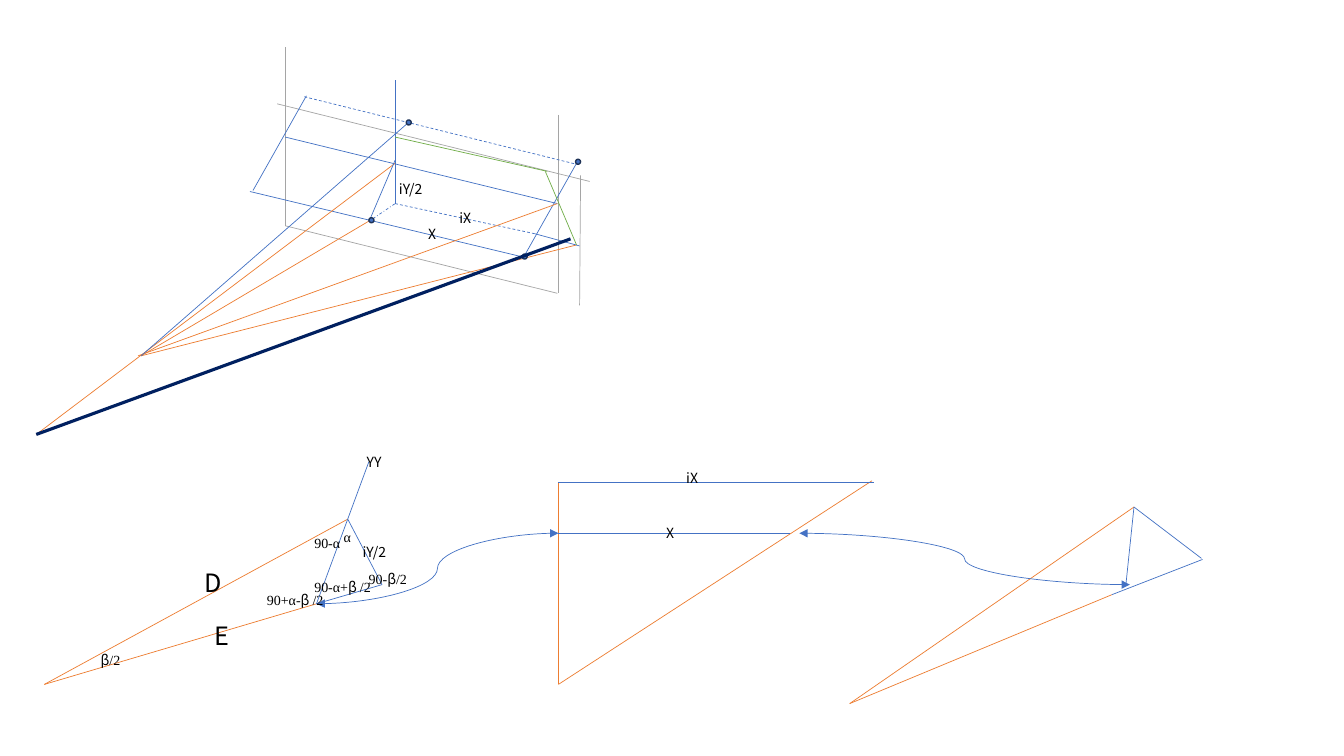
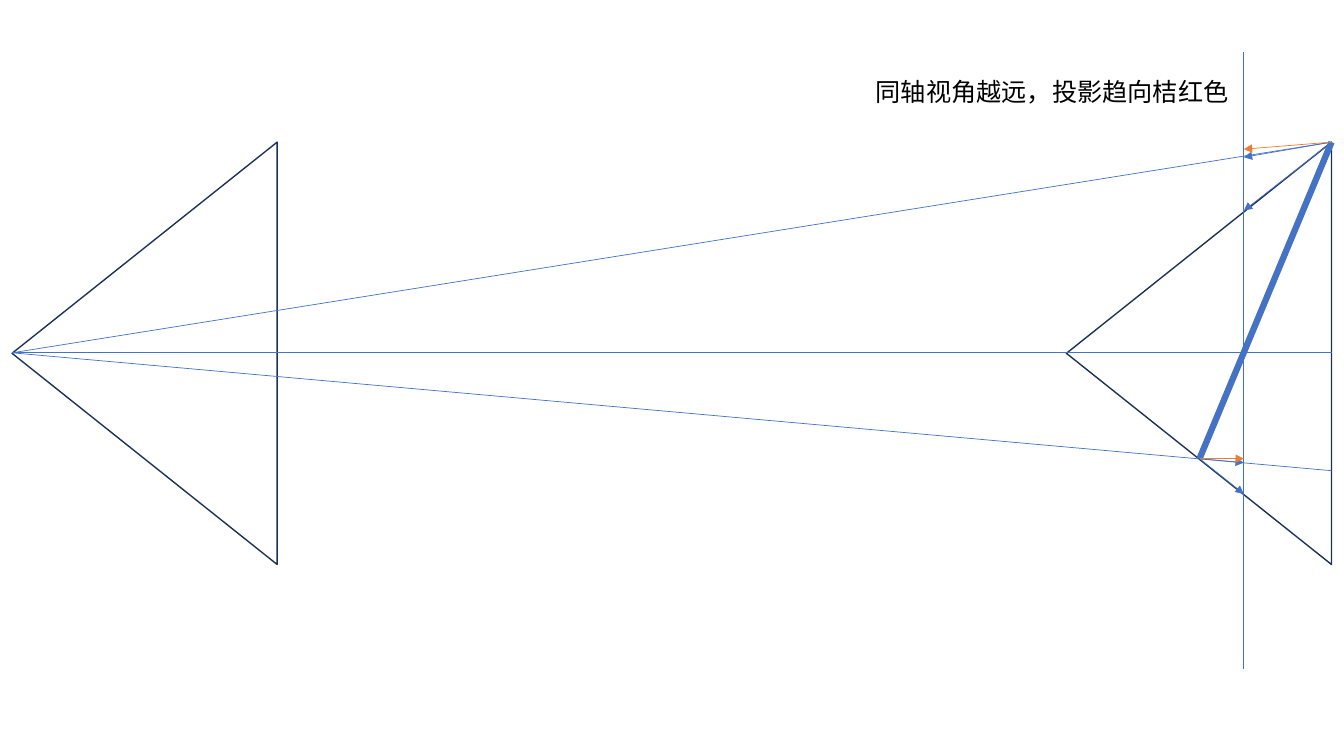
from dataclasses import dataclass

from lxml.etree import SubElement
from pptx import Presentation
from pptx.dml.color import RGBColor
from pptx.enum.dml import MSO_LINE
from pptx.enum.shapes import MSO_CONNECTOR, MSO_SHAPE
from pptx.enum.text import MSO_AUTO_SIZE
from pptx.oxml.ns import qn
from pptx.shapes.autoshape import Shape
from pptx.shapes.shapetree import GroupShapes, SlideShapes
from pptx.slide import Slide
from pptx.util import Inches, Pt

COLORS = {
    "blue": "4472C4",
    "orange": "ED7D31",
    "gray": "A5A5A5",
    "green": "70AD47",
    "navy": "002060",
    "outline": "1E3256",
    "text": "000000",
}
SANS = "Noto Sans CJK SC"
SERIF = "Times New Roman"
DASH = MSO_LINE.DASH
DASH_DOT = MSO_LINE.DASH_DOT
DOT_SIZE = 0.05

Point = tuple[float, float]


@dataclass(frozen=True)
class Stroke:
    start: Point
    end: Point
    color: str = "blue"
    width: float = 0.5
    dash: MSO_LINE | None = None
    head: bool = False
    tail: bool = False
    kind: MSO_CONNECTOR = MSO_CONNECTOR.STRAIGHT


@dataclass(frozen=True)
class Label:
    left: float
    top: float
    width: float
    spans: tuple[tuple[str, str], ...]
    size: float = 10
    wrap: bool = False


def rgb(name: str) -> RGBColor:
    return RGBColor.from_string(COLORS[name])


def draw_strokes(shapes: SlideShapes | GroupShapes, strokes: list[Stroke]) -> None:
    for stroke in strokes:
        ends = [Inches(value) for value in (*stroke.start, *stroke.end)]
        connector = shapes.add_connector(stroke.kind, *ends)
        connector.line.color.rgb = rgb(stroke.color)
        connector.line.width = Pt(stroke.width)
        if stroke.dash is not None:
            connector.line.dash_style = stroke.dash
        properties = connector._element.spPr
        outline = properties.find(qn("a:ln"))
        for tag, wanted in (("a:headEnd", stroke.head), ("a:tailEnd", stroke.tail)):
            if wanted:
                SubElement(outline, qn(tag), type="triangle")
        SubElement(properties, qn("a:effectLst"))


def draw_outline(page: Slide, kind: MSO_SHAPE, left: float, top: float,
                 width: float, height: float, fill: str | None = None,
                 rotation: float = 0) -> Shape:
    shape = page.shapes.add_shape(kind, Inches(left), Inches(top), Inches(width), Inches(height))
    shape.shadow.inherit = False
    shape.rotation = rotation
    if fill:
        shape.fill.solid()
        shape.fill.fore_color.rgb = rgb(fill)
    else:
        shape.fill.background()
    shape.line.color.rgb = rgb("outline")
    shape.line.width = Pt(1)
    return shape


def add_text(para, text: str, *, font: str, size: float, color: str = "text") -> None:
    span = para.add_run()
    span.text = text
    span.font.name = font
    span.font.size = Pt(size)
    span.font.color.rgb = rgb(color)
    SubElement(span._r.get_or_add_rPr(), qn("a:ea"), typeface=font)


def draw_labels(page: Slide, labels: list[Label]) -> None:
    for label in labels:
        height = 0.4 if label.size > 10 else 0.27
        box = page.shapes.add_textbox(Inches(label.left), Inches(label.top),
                                      Inches(label.width), Inches(height))
        box.text_frame.word_wrap = label.wrap
        box.text_frame.auto_size = MSO_AUTO_SIZE.SHAPE_TO_FIT_TEXT
        for text, font in label.spans:
            add_text(box.text_frame.paragraphs[0], text, font=font, size=label.size)


def build_projection(page: Slide) -> None:
    eye, far_eye = (1.4, 3.53), (0.36, 4.31)
    near, hinge, corner = (3.7, 2.17), (3.92, 2.02), (5.72, 2.43)
    draw_strokes(page.shapes, [
        Stroke((2.83, 0.47), (2.83, 2.24), "gray"),
        Stroke((5.54, 1.14), (5.54, 2.91), "gray"),
        Stroke((2.75, 1.03), (5.85, 1.8), "gray"),
        Stroke((2.83, 2.24), (5.53, 2.91), "gray"),
        Stroke((2.83, 1.36), (5.53, 2.02)),
        Stroke((5.19, 2.56), (5.72, 1.62)),
        Stroke((2.48, 1.9), (5.19, 2.55)),
        Stroke((3.02, 0.96), (5.72, 1.63), dash=DASH),
        Stroke((2.51, 1.89), (3.04, 0.95)),
        Stroke((3.92, 1.62), far_eye, "orange"),
        Stroke(eye, near, "orange"),
        Stroke(eye, corner, "orange"),
        Stroke((5.31, 2.32), (5.75, 2.44)),
        Stroke(near, hinge, dash=DASH_DOT),
        Stroke(hinge, (5.31, 2.32), dash=DASH),
        Stroke(hinge, (3.92, 0.79)),
        Stroke((3.92, 1.36), (5.43, 1.7), "green"),
        Stroke((5.41, 1.7), corner, "green"),
        Stroke((5.76, 1.74), (5.75, 3.03), "gray"),
        Stroke((1.37, 3.53), (5.53, 2.02), "orange"),
        Stroke((3.92, 1.59), (3.66, 2.2)),
        Stroke(eye, (4.07, 1.2)),
    ])
    for left, top in ((3.66, 2.16), (5.18, 2.52), (5.71, 1.58), (4.03, 1.19)):
        draw_outline(page, MSO_SHAPE.OVAL, left, top, DOT_SIZE, DOT_SIZE, fill="blue")

    side_eye, side_top, side_foot, side_corner = (0.44, 6.79), (3.45, 5.15), (3.14, 5.99), (3.79, 5.8)
    draw_strokes(page.shapes.add_group_shape().shapes, [
        Stroke(side_top, side_eye, "orange"),
        Stroke(side_foot, side_eye, "orange"),
        Stroke(side_top, side_corner),
        Stroke((3.66, 4.58), side_foot),
        Stroke(side_corner, side_foot),
    ])
    tilt_eye, tilt_top, tilt_foot = (8.43, 6.98), (11.25, 5.03), (11.03, 5.9)
    draw_strokes(page.shapes.add_group_shape().shapes, [
        Stroke(tilt_top, tilt_eye, "orange"),
        Stroke(tilt_foot, tilt_eye, "orange"),
        Stroke(tilt_top, (11.92, 5.54)),
        Stroke(tilt_top, (11.17, 5.8)),
        Stroke((11.93, 5.55), tilt_foot),
    ])
    plan_eye, plan_near, plan_far = (5.54, 6.79), (5.54, 5.29), (5.54, 4.79)
    draw_strokes(page.shapes, [
        Stroke(plan_eye, plan_far, "orange"),
        Stroke(plan_eye, (8.65, 4.77), "orange"),
        Stroke(plan_far, (8.67, 4.79)),
        Stroke(plan_near, (7.84, 5.29)),
        Stroke(side_foot, plan_near, head=True, tail=True, kind=MSO_CONNECTOR.CURVE),
        Stroke((7.93, 5.29), (11.21, 5.8), head=True, tail=True, kind=MSO_CONNECTOR.CURVE),
        Stroke(far_eye, (5.66, 2.37), "navy", 2.25),
    ])
    beta_half = (("β ", SANS), ("/2", SERIF))
    draw_labels(page, [
        Label(4.15, 2.19, 0.28, (("X", SANS),)),
        Label(4.46, 2.03, 0.34, (("iX", SANS),)),
        Label(3.86, 1.74, 0.44, (("iY/2", SANS),)),
        Label(3.31, 5.19, 0.28, (("α", SERIF),)),
        Label(3.54, 4.45, 0.36, (("YY", SANS),)),
        Label(0.9, 6.41, 0.47, (("β", SANS), ("/2", SERIF)), wrap=True),
        Label(3.5, 5.34, 0.44, (("iY/2", SANS),)),
        Label(6.51, 5.15, 0.28, (("X", SANS),)),
        Label(6.71, 4.61, 0.34, (("iX", SANS),)),
        Label(3.02, 5.25, 0.46, (("90-α", SERIF),)),
        Label(3.02, 5.69, 0.76, (("90-α+", SERIF), *beta_half)),
        Label(3.56, 5.61, 0.69, (("90-", SERIF), ("β", SANS), ("/2", SERIF)), wrap=True),
        Label(2.03, 6.11, 0.33, (("E", SANS),), size=18),
        Label(1.93, 5.58, 0.38, (("D", SANS),), size=18),
        Label(2.55, 5.82, 0.76, (("90+α-", SERIF), *beta_half)),
    ])


def build_view_angle(page: Slide) -> None:
    eye, bar_top, bar_foot = (0.12, 3.5), (13.21, 1.41), (11.9, 4.55)
    screen = 12.34
    for left in (9.8, -0.66):
        draw_outline(page, MSO_SHAPE.ISOSCELES_TRIANGLE, left, 2.19, 4.19, 2.63, rotation=270)
    draw_strokes(page.shapes, [
        Stroke(bar_top, bar_foot, width=4.5),
        Stroke(eye, (13.21, 3.5)),
        Stroke((screen, 0.52), (screen, 6.64)),
        Stroke(eye, bar_top),
        Stroke(eye, (13.21, 4.67)),
    ])
    hits = (
        (bar_top, 2.09, "blue"), (bar_top, 1.56, "blue"),
        (bar_foot, 4.59, "blue"), (bar_foot, 4.9, "blue"),
        (bar_top, 1.48, "orange"), (bar_foot, 4.55, "orange"),
    )
    draw_strokes(page.shapes, [
        Stroke(start, (screen, height), color, tail=True) for start, height, color in hits
    ])
    draw_labels(page, [Label(8.59, 0.71, 3.74, (("同轴视角越远，投影趋向桔红色", SANS),), size=18)])


def main() -> None:
    deck = Presentation()
    deck.slide_width = Inches(40 / 3)
    deck.slide_height = Inches(7.5)
    for build in (build_projection, build_view_angle):
        build(deck.slides.add_slide(deck.slide_layouts[6]))
    deck.save("out.pptx")


if __name__ == "__main__":
    main()
